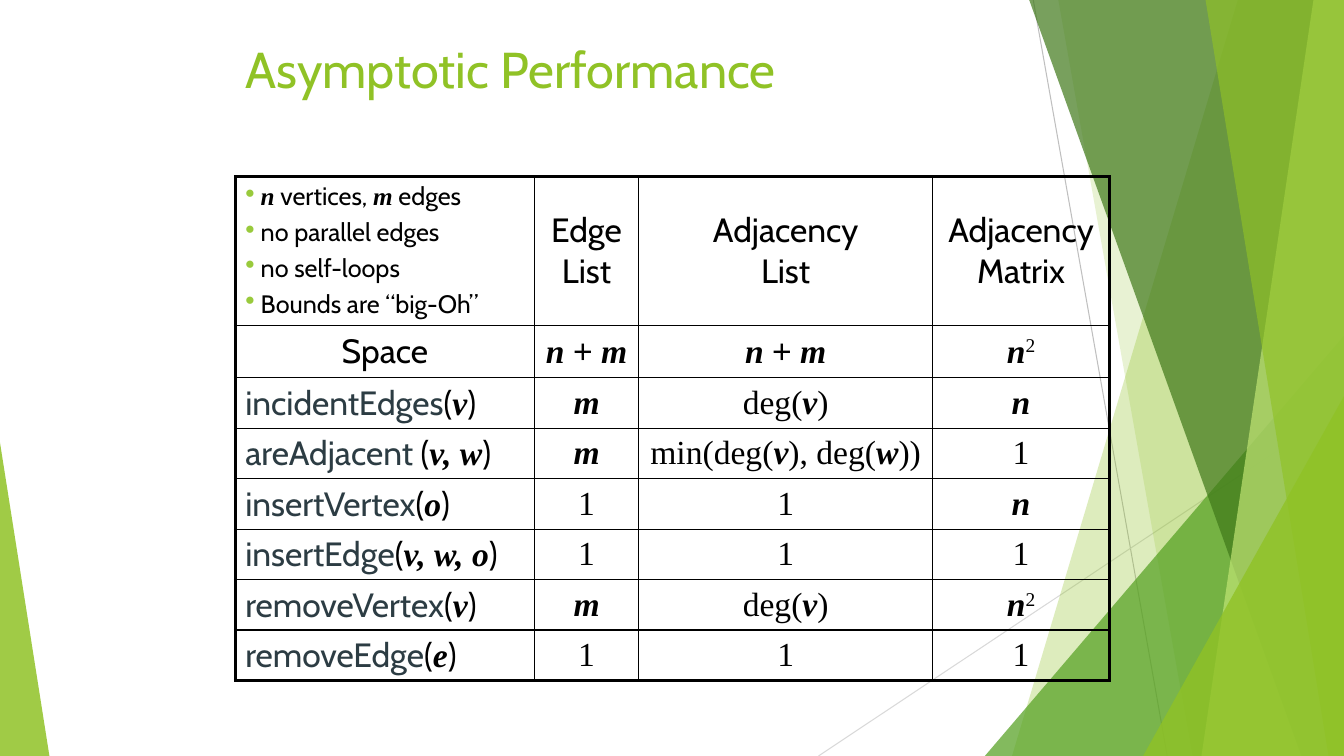
from dataclasses import dataclass

from lxml import etree
from pptx import Presentation
from pptx import util as u
from pptx.dml import color
from pptx.enum import shapes, text
from pptx.oxml import ns

SLIDE_WIDTH = u.Inches(13.333)
SLIDE_HEIGHT = u.Inches(7.5)
LIME, BLACK, SLATE = "90C226", "000000", "2C3C43"


@dataclass(frozen=True)
class Ray:
    """A thin line; positions are percentages of the slide's size."""
    start: tuple[float, float]
    end: tuple[float, float]
    line: str


@dataclass(frozen=True)
class Band:
    """A full-height area reaching the right edge, with a slanted left side."""
    top_left: float
    bottom_left: float
    fill: str
    opacity: int


@dataclass(frozen=True)
class Wedge:
    """A triangle standing on the bottom edge; apex 0 is left, 1 is right."""
    left: float
    top: float
    width: float
    apex: float
    fill: str
    opacity: int


@dataclass(frozen=True)
class Piece:
    """Text in one style."""
    text: str
    font: str = "Cabin"
    color: str = BLACK
    strong: bool = False
    raised: bool = False


Pieces = tuple[Piece, ...]


@dataclass(frozen=True)
class Operation:
    name: str
    arguments: str
    costs: tuple[Pieces, Pieces, Pieces]


def variable(name: str) -> Piece:
    return Piece(name, "Times New Roman", strong=True)


def roman(words: str, raised: bool = False) -> Piece:
    return Piece(words, "Times New Roman", raised=raised)


ONE = (roman("1"),)
M = (variable("m"),)
N = (variable("n"),)
N_SQUARED = (variable("n"), roman("2", raised=True))
N_PLUS_M = (variable("n "), Piece("+", "Arial"), variable(" m"))
DEGREE = (roman("deg("), variable("v"), roman(")"))
MIN_DEGREE = (roman("min(deg("), variable("v"), roman("), deg("),
              variable("w"), roman("))"))

RAYS = [Ray((76.88, 0), (86.85, 100), "BFBFBF"),
        Ray((100, 53.73), (60.9, 100), "D9D9D9")]
FACETS = [
    Band(92.1, 75.3, LIME, 30),
    Band(78.75, 88.73, LIME, 20),
    Wedge(73.28, 44.4, 26.72, 1, "54A021", 72),
    Band(76.58, 96.83, "3F7819", 70),
    Band(97.73, 89.4, "C0E474", 70),
    Band(89.7, 98.85, LIME, 65),
    Wedge(85.05, 52.4, 14.95, 1, LIME, 80),
    Wedge(0, 58.53, 3.68, 0, LIME, 85),
]

COLUMNS = [22.28, 7.73, 21.9, 13.13]
ROWS = [19.73, 6.93] + [6.67] * 6
ASSUMPTIONS: list[Pieces] = [
    (variable("n"), Piece(" vertices, "), variable("m"), Piece(" edges")),
    (Piece("no parallel edges"),),
    (Piece("no self-loops"),),
    (Piece("Bounds are “big-Oh”"),),
]
STRUCTURES = ["Edge\nList", "Adjacency\nList", "Adjacency Matrix"]
SPACE_COSTS = (N_PLUS_M, N_PLUS_M, N_SQUARED)
OPERATIONS = [
    Operation("incidentEdges", "v", (M, DEGREE, N)),
    Operation("areAdjacent ", "v, w", (M, MIN_DEGREE, ONE)),
    Operation("insertVertex", "o", (ONE, ONE, N)),
    Operation("insertEdge", "v, w, o", (ONE, ONE, ONE)),
    Operation("removeVertex", "v", (M, DEGREE, N_SQUARED)),
    Operation("removeEdge", "e", (ONE, ONE, ONE)),
]


def across(percent: float) -> int:
    return round(SLIDE_WIDTH * percent / 100)


def down(percent: float) -> int:
    return round(SLIDE_HEIGHT * percent / 100)


def paint(fill, hex_color: str, opacity: int = 100) -> None:
    fill.solid()
    fill.fore_color.rgb = color.RGBColor.from_string(hex_color)
    if opacity < 100:
        tone = fill._xPr.find(ns.qn("a:solidFill"))[0]
        etree.SubElement(tone, ns.qn("a:alpha"), val=str(opacity * 1000))


def draw_ray(slide, ray: Ray) -> None:
    connector = slide.shapes.add_connector(
        shapes.MSO_CONNECTOR.STRAIGHT, across(ray.start[0]), down(ray.start[1]),
        across(ray.end[0]), down(ray.end[1]))
    paint(connector.line.fill, ray.line)
    connector.line.width = u.Pt(0.75)
    etree.SubElement(connector._element.spPr, ns.qn("a:effectLst"))


def draw_facet(slide, facet: Band | Wedge) -> None:
    if isinstance(facet, Band):
        builder = slide.shapes.build_freeform(across(facet.top_left), 0)
        builder.add_line_segments([
            (across(100), 0), (across(100), down(100)),
            (across(facet.bottom_left), down(100))])
        shape = builder.convert_to_shape()
    else:
        shape = slide.shapes.add_shape(
            shapes.MSO_SHAPE.ISOSCELES_TRIANGLE, across(facet.left),
            down(facet.top), across(facet.width), down(100 - facet.top))
        shape.adjustments[0] = facet.apex
    paint(shape.fill, facet.fill, facet.opacity)
    shape.line.fill.background()
    shape.shadow.inherit = False


def write(paragraph, pieces: Pieces, size: float) -> None:
    for piece in pieces:
        for index, line in enumerate(piece.text.split("\n")):
            if index:
                paragraph.add_line_break()
            run = paragraph.add_run()
            run.text = line
            run.font.name = piece.font
            run.font.size = u.Pt(size)
            run.font.bold = run.font.italic = piece.strong
            paint(run.font.fill, piece.color)
            if piece.raised:
                run._r.get_or_add_rPr().set("baseline", "30000")


def add_bullet(paragraph) -> None:
    properties = paragraph._p.get_or_add_pPr()
    indent = across(1.15)
    properties.set("marL", str(indent))
    properties.set("indent", str(-indent))
    tone = etree.SubElement(properties, ns.qn("a:buClr"))
    etree.SubElement(tone, ns.qn("a:srgbClr"), val="99CA3C")
    etree.SubElement(properties, ns.qn("a:buSzPct"), val="110000")
    etree.SubElement(properties, ns.qn("a:buChar"), char="•")


def frame_cell(cell, row: int, column: int) -> None:
    """Thick borders on the table's outside, thin ones inside."""
    outer_sides = {"lnL": column == 0, "lnR": column == len(COLUMNS) - 1,
                   "lnT": row == 0, "lnB": row == len(ROWS) - 1}
    properties = cell._tc.get_or_add_tcPr()
    for side, outer in outer_sides.items():
        border = etree.SubElement(properties, ns.qn(f"a:{side}"),
                                  w=str(u.Pt(2.25 if outer else 1)))
        fill = etree.SubElement(border, ns.qn("a:solidFill"))
        etree.SubElement(fill, ns.qn("a:srgbClr"), val=BLACK)
    cell.fill.background()


def draw_title(slide) -> None:
    box = slide.shapes.add_textbox(across(17.5), down(4.4), across(65.63), down(12.27))
    box.text_frame.word_wrap = True
    write(box.text_frame.paragraphs[0], (Piece("Asymptotic Performance", color=LIME),), 36)


def draw_table(slide) -> None:
    table = slide.shapes.add_table(
        len(ROWS), len(COLUMNS), across(17.5), down(23.33),
        across(sum(COLUMNS)), down(sum(ROWS))).table
    table.first_row = table.horz_banding = False
    for column, width in zip(table.columns, COLUMNS):
        column.width = across(width)
    for row, height in zip(table.rows, ROWS):
        row.height = down(height)

    contents = [[(), *((Piece(name),) for name in STRUCTURES)],
                [(Piece("Space"),), *SPACE_COSTS]]
    for operation in OPERATIONS:
        call = (Piece(operation.name, color=SLATE), Piece("("),
                variable(operation.arguments), Piece(")"))
        contents.append([call, *operation.costs])

    for row, line in enumerate(contents):
        for column, pieces in enumerate(line):
            cell = table.cell(row, column)
            frame_cell(cell, row, column)
            if not pieces:
                continue
            cell.vertical_anchor = text.MSO_ANCHOR.MIDDLE
            paragraph = cell.text_frame.paragraphs[0]
            if column or row == 1:
                paragraph.alignment = text.PP_ALIGN.CENTER
            write(paragraph, pieces, 24)

    frame = table.cell(0, 0).text_frame
    for index, pieces in enumerate(ASSUMPTIONS):
        paragraph = frame.add_paragraph() if index else frame.paragraphs[0]
        add_bullet(paragraph)
        if index:
            paragraph.space_before = u.Pt(3.6)
        write(paragraph, pieces, 18)


def main() -> None:
    presentation = Presentation()
    presentation.slide_width = SLIDE_WIDTH
    presentation.slide_height = SLIDE_HEIGHT
    slide = presentation.slides.add_slide(presentation.slide_layouts[6])
    for ray in RAYS:
        draw_ray(slide, ray)
    for facet in FACETS:
        draw_facet(slide, facet)
    draw_title(slide)
    draw_table(slide)
    presentation.save("out.pptx")


if __name__ == "__main__":
    main()
